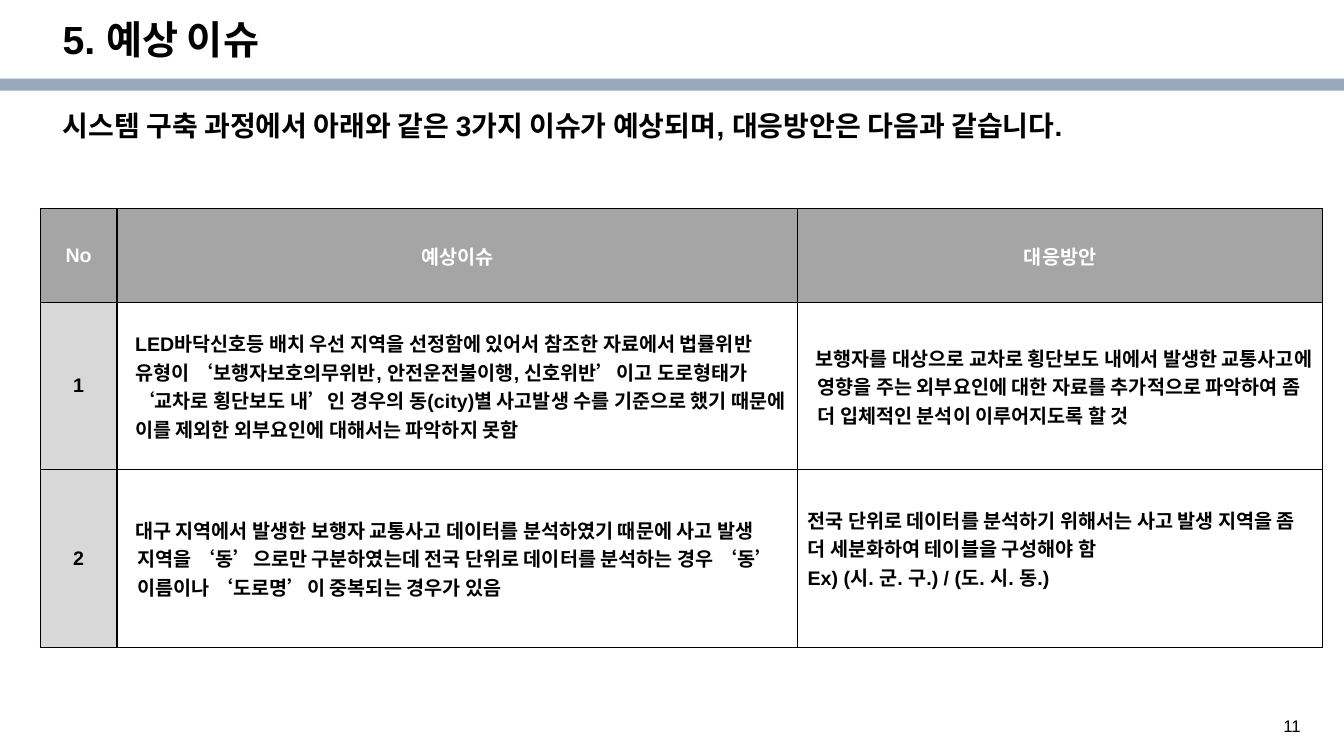
from lxml import etree
from pptx import Presentation
from pptx import util as u
from pptx.dml.color import RGBColor
from pptx.enum import shapes, text
from pptx.oxml import ns

WIDE, HIGH = 13.33, 7.5
HUES = {"ink": "000000", "paper": "FFFFFF", "band": "98A8BD",
        "head": "A5A5A5", "side": "D8D8D8"}
COLS = (0.76, 6.75, 5.21)
ROWS = (0.93, 1.66, 1.76)
LEFT, MID = text.PP_ALIGN.LEFT, text.PP_ALIGN.CENTER

HEAD = ("No", "예상이슈", "대응방안")
ISSUES = (
    ("1",
     "LED바닥신호등 배치 우선 지역을 선정함에 있어서 참조한 자료에서 법률위반 유형이 "
     "‘보행자보호의무위반, 안전운전불이행, 신호위반’이고 도로형태가 ‘교차로 횡단보도 내’인 "
     "경우의 동(city)별 사고발생 수를 기준으로 했기 때문에 이를 제외한 외부요인에 대해서는 "
     "파악하지 못함",
     "보행자를 대상으로 교차로 횡단보도 내에서 발생한 교통사고에 영향을 주는 외부요인에 대한 "
     "자료를 추가적으로 파악하여 좀 더 입체적인 분석이 이루어지도록 할 것"),
    ("2",
     "대구 지역에서 발생한 보행자 교통사고 데이터를 분석하였기 때문에 사고 발생 지역을 "
     "‘동’으로만 구분하였는데 전국 단위로 데이터를 분석하는 경우 ‘동’ 이름이나 "
     "‘도로명’이 중복되는 경우가 있음",
     "전국 단위로 데이터를 분석하기 위해서는 사고 발생 지역을 좀 더 세분화하여 테이블을 "
     "구성해야 함\nEx) (시. 군. 구.) / (도. 시. 동.)"),
)
# Left margin and first-line indent of the prose cells
DENTS = {(1, 1): (0.08, 0), (1, 2): (0.1, -0.02), (2, 1): (0.1, -0.02)}


def tint(name):
    return RGBColor.from_string(HUES[name])


def style(frame, size, hue="ink", bold=True, align=LEFT, lead=1.0, dent=(0, 0)):
    for para in frame.paragraphs:
        props = para._p.get_or_add_pPr()
        props.set("marL", str(u.Inches(dent[0])))
        props.set("indent", str(u.Inches(dent[1])))
        etree.SubElement(props, ns.qn("a:buNone"))
        looks = {"alignment": align, "line_spacing": lead,
                 "space_before": u.Pt(0), "space_after": u.Pt(0)}
        for key, value in looks.items():
            setattr(para, key, value)
        for key, value in {"name": "Arial", "size": u.Pt(size), "bold": bold}.items():
            setattr(para.font, key, value)
        para.font.color.rgb = tint(hue)


def place(holder, box, words, size, anchor):
    for key, value in zip(("left", "top", "width", "height"), box):
        setattr(holder, key, u.Inches(value))
    frame = holder.text_frame
    frame.text = words
    frame.word_wrap = True
    frame.auto_size = text.MSO_AUTO_SIZE.NONE
    frame.vertical_anchor = anchor
    style(frame, size, lead=0.9)


def banner(slide, box):
    band = slide.shapes.add_shape(shapes.MSO_SHAPE.RECTANGLE, *map(u.Inches, box))
    band.shadow.inherit = False
    band.fill.solid()
    band.fill.fore_color.rgb = tint("band")
    band.line.fill.background()


def border(cell):
    props = cell._tc.get_or_add_tcPr()
    for side in ("lnL", "lnR", "lnT", "lnB"):
        line = etree.SubElement(props, ns.qn("a:" + side), w=str(u.Pt(1)))
        fill = etree.SubElement(line, ns.qn("a:solidFill"))
        etree.SubElement(fill, ns.qn("a:srgbClr"), val=HUES["ink"])


def grid(slide, left, top):
    box = map(u.Inches, (left, top, sum(COLS), sum(ROWS)))
    table = slide.shapes.add_table(len(ROWS), len(COLS), *box).table
    table.first_row = table.horz_banding = False
    for col, wide in zip(table.columns, COLS):
        col.width = u.Inches(wide)
    for row, high in zip(table.rows, ROWS):
        row.height = u.Inches(high)
    for r, line in enumerate((HEAD, *ISSUES)):
        for c, words in enumerate(line):
            cell = table.cell(r, c)
            cell.text = words
            cell.vertical_anchor = text.MSO_ANCHOR.MIDDLE
            side = 0.05 if r and not c else 0.1
            edge = 0.04 if r and c else 0.05
            cell.margin_left = cell.margin_right = u.Inches(side)
            cell.margin_top = cell.margin_bottom = u.Inches(edge)
            border(cell)
            if r and c:
                cell.fill.background()
            else:
                cell.fill.solid()
                cell.fill.fore_color.rgb = tint("side" if r else "head")
            style(cell.text_frame, 14, "ink" if r else "paper",
                  align=LEFT if r and c else MID, dent=DENTS.get((r, c), (0, 0)))
    table.cell(2, 2).margin_bottom = u.Inches(0.24)


def folio(slide, box, number):
    frame = slide.shapes.add_textbox(*map(u.Inches, box)).text_frame
    frame.text = number
    frame.word_wrap = True
    style(frame, 12, bold=False)


def main():
    deck = Presentation()
    deck.slide_width, deck.slide_height = u.Inches(WIDE), u.Inches(HIGH)
    slide = deck.slides.add_slide(deck.slide_layouts[1])
    title, body = slide.placeholders
    banner(slide, (0, 0.78, WIDE, 0.12))
    place(title, (0.52, 0.15, 11.5, 0.53), "5. 예상 이슈", 28, text.MSO_ANCHOR.MIDDLE)
    place(body, (0.52, 1.06, 12.01, 0.71),
          "시스템 구축 과정에서 아래와 같은 3가지 이슈가 예상되며, 대응방안은 다음과 같습니다.",
          20, text.MSO_ANCHOR.TOP)
    grid(slide, 0.4, 2.07)
    folio(slide, (12.63, 7.05, 0.52, 0.27), "11")
    deck.save("out.pptx")


if __name__ == "__main__":
    main()
